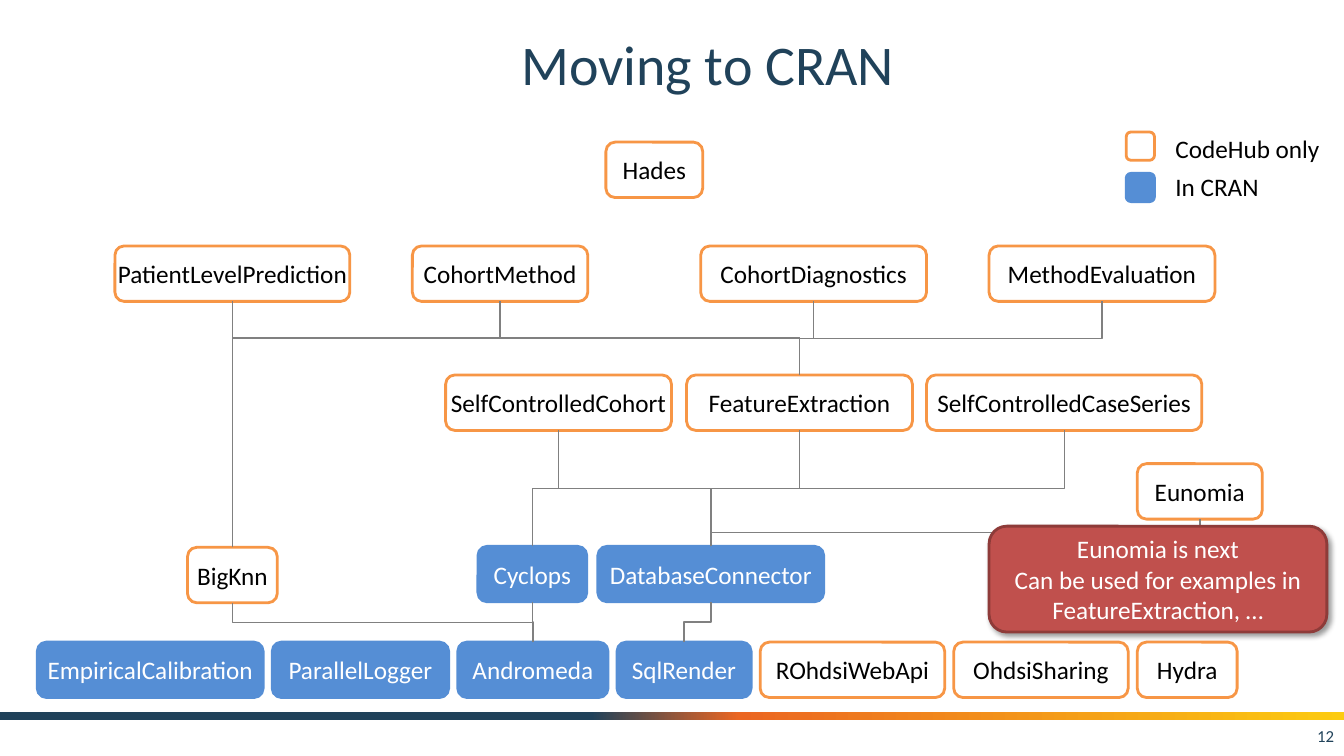
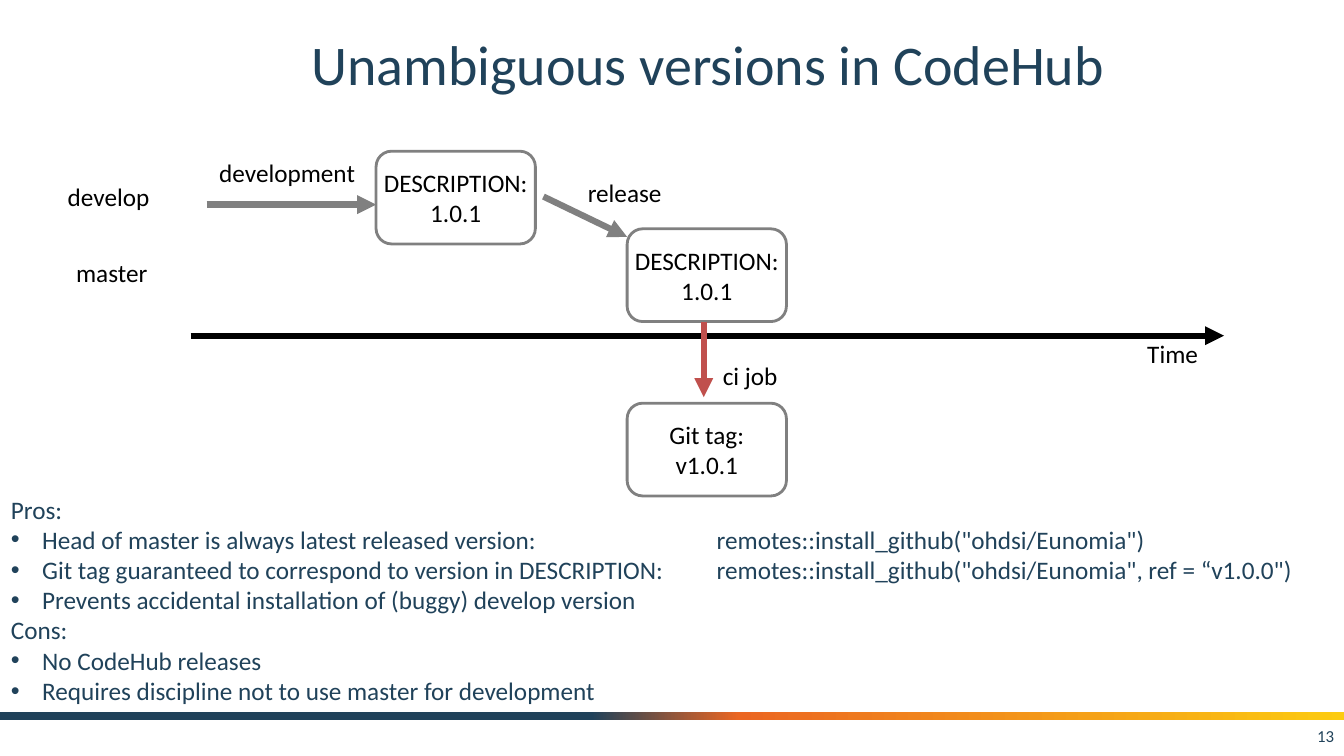
from dataclasses import dataclass
from typing import Any

from lxml.etree import SubElement as sub
from pptx import Presentation
from pptx.dml.color import RGBColor as Rgb
from pptx.enum.shapes import MSO_CONNECTOR as Wire, MSO_SHAPE as Form
from pptx.enum.text import MSO_ANCHOR as Anchor, PP_ALIGN as Align
from pptx.oxml.ns import qn
from pptx.util import Inches, Pt

HUES = {
    "navy": "20425A", "ember": "EB6622", "gold": "FCCB10", "blue": "558ED5",
    "orange": "F79646", "red": "C0504D", "wine": "8E3B39", "gray": "808080",
    "black": "000000", "white": "FFFFFF",
}
FACE = "Calibri"
WIDE, HIGH = 13.33, 7.5
BAND = ((44, "navy"), (55, "ember"), (100, "gold"))


@dataclass
class Look:
    """Colours of a rounded box."""
    fill: str
    edge: str
    ink: str


@dataclass
class Box:
    """A rounded box with centred text."""
    text: str
    x: float
    y: float
    w: float
    h: float
    look: Look


@dataclass
class Label:
    """A single line of free text."""
    text: str
    x: float
    y: float
    w: float
    side: Any = Align.LEFT


@dataclass
class Arrow:
    """A straight arrow between two points."""
    x1: float
    y1: float
    x2: float
    y2: float
    hue: str


HUB = Look("white", "orange", "black")
CRAN = Look("blue", "blue", "white")
STEP = Look("white", "gray", "black")
ALERT = Look("red", "wine", "white")


def color(name: str) -> Rgb:
    """Look up a named colour."""
    return Rgb.from_string(HUES[name])


def write(frame: Any, text: str, hue: str, size: float = 18,
          side: Any = Align.LEFT) -> None:
    """Fill a text frame, one paragraph for each line."""
    for i, line in enumerate(text.split("\n")):
        para = frame.add_paragraph() if i else frame.paragraphs[0]
        para.text = line
        para.alignment = side
        font = para.font
        font.name, font.size = FACE, Pt(size)
        font.color.rgb = color(hue)


def add_text(slide: Any, label: Label, h: float = 0.4, hue: str = "black",
             size: float = 18, wrap: bool = False,
             anchor: Any = Anchor.TOP) -> Any:
    """Add a text box and return its frame."""
    frame = slide.shapes.add_textbox(
        Inches(label.x), Inches(label.y), Inches(label.w), Inches(h)).text_frame
    frame.word_wrap = wrap
    frame.vertical_anchor = anchor
    write(frame, label.text, hue, size, label.side)
    return frame


def add_box(slide: Any, box: Box, inset: bool = False) -> Any:
    """Add a rounded box; with inset it keeps margins and wraps."""
    shape = slide.shapes.add_shape(
        Form.ROUNDED_RECTANGLE, Inches(box.x), Inches(box.y),
        Inches(box.w), Inches(box.h))
    shape.shadow.inherit = False
    shape.fill.solid()
    shape.fill.fore_color.rgb = color(box.look.fill)
    shape.line.color.rgb = color(box.look.edge)
    shape.line.width = Pt(2)
    frame = shape.text_frame
    frame.word_wrap = inset
    frame.vertical_anchor = Anchor.MIDDLE
    if not inset:
        frame.margin_left = frame.margin_right = 0
        frame.margin_top = frame.margin_bottom = 0
    if box.text:
        write(frame, box.text, box.look.ink, side=Align.CENTER)
    return shape


def style(line: Any, hue: str, width: float, head: bool = False) -> None:
    """Set a connector's colour, width and arrowhead, without shadow."""
    line.line.color.rgb = color(hue)
    line.line.width = Pt(width)
    props = line._element.spPr
    if head:
        sub(props.find(qn("a:ln")), qn("a:tailEnd"), type="triangle")
    sub(props, qn("a:effectLst"))


def add_arrow(slide: Any, arrow: Arrow) -> None:
    """Draw a thick straight arrow."""
    line = slide.shapes.add_connector(
        Wire.STRAIGHT, Inches(arrow.x1), Inches(arrow.y1),
        Inches(arrow.x2), Inches(arrow.y2))
    style(line, arrow.hue, 4.5, head=True)


def link(slide: Any, low: Any, high: Any) -> None:
    """Join the top of one box to the bottom of a higher one by an elbow."""
    line = slide.shapes.add_connector(Wire.ELBOW, 0, 0, 0, 0)
    line.begin_connect(low, 0)
    line.end_connect(high, 2)
    left = line.end_x < line.begin_x
    mid_x = (line.begin_x + line.end_x) // 2
    mid_y = (line.begin_y + line.end_y) // 2
    run, rise = line.width, line.height
    line.left, line.top = mid_x - rise // 2, mid_y - run // 2
    line.width, line.height = rise, run
    frame = line._element.spPr.find(qn("a:xfrm"))
    frame.set("rot", "16200000")
    frame.set("flipH", "0")
    frame.set("flipV", "1" if left else "0")
    style(line, "gray", 1)


def add_glow(shape: Any) -> None:
    """Give a shape a soft shadow to the lower right."""
    effects = shape._element.spPr.find(qn("a:effectLst"))
    outer = sub(effects, qn("a:outerShdw"), blurRad=str(Pt(4)),
                dist=str(Pt(3)), dir="2700000", algn="tl", rotWithShape="0")
    tone = sub(outer, qn("a:srgbClr"), val=HUES["black"])
    sub(tone, qn("a:alpha"), val="40000")


def add_band(slide: Any) -> None:
    """Draw the gradient band above the footer."""
    band = slide.shapes.add_shape(
        Form.RECTANGLE, 0, Inches(7.06), Inches(WIDE), Inches(0.08))
    band.shadow.inherit = False
    band.line.fill.background()
    band.fill.gradient()
    band.fill.gradient_angle = 0
    stops = band._element.spPr.find(qn("a:gradFill")).find(qn("a:gsLst"))
    for stop in list(stops):
        stops.remove(stop)
    for pos, hue in BAND:
        stop = sub(stops, qn("a:gs"), pos=str(pos * 1000))
        sub(stop, qn("a:srgbClr"), val=HUES[hue])


def add_slide(deck: Any, title: str, page: int) -> Any:
    """Add a slide with band, title and page number."""
    slide = deck.slides.add_slide(deck.slide_layouts[6])
    add_band(slide)
    add_text(slide, Label(title, 1.37, 0.17, 11.3, Align.CENTER), 0.92,
             "navy", 40, True, Anchor.MIDDLE)
    add_text(slide, Label(str(page), 10.22, 7.1, 3.11, Align.RIGHT), 0.4,
             "navy", 12, True, Anchor.MIDDLE)
    return slide


def add_bullet(para: Any) -> None:
    """Give a paragraph a bullet, a hanging indent and a tab for code."""
    props = para._p.get_or_add_pPr()
    props.set("marL", str(Inches(0.31)))
    props.set("indent", str(-Inches(0.31)))
    font = sub(props, qn("a:buFont"), typeface="Arial")
    mark = sub(props, qn("a:buChar"), char="•")
    tabs = sub(props, qn("a:tabLst"))
    sub(tabs, qn("a:tab"), pos=str(Inches(7)), algn="l")
    for i, part in enumerate((font, mark, tabs)):
        props.insert(i, part)


TALL = 0.55
NODES = [
    Box("Hades", 6.01, 1.41, 0.96, TALL, HUB),
    Box("PatientLevelPrediction", 1.14, 2.44, 2.33, TALL, HUB),
    Box("CohortMethod", 4.09, 2.44, 1.74, TALL, HUB),
    Box("CohortDiagnostics", 6.95, 2.44, 2.24, TALL, HUB),
    Box("MethodEvaluation", 9.81, 2.44, 2.24, TALL, HUB),
    Box("SelfControlledCohort", 4.42, 3.72, 2.24, TALL, HUB),
    Box("FeatureExtraction", 6.81, 3.72, 2.24, TALL, HUB),
    Box("SelfControlledCaseSeries", 9.19, 3.72, 2.73, TALL, HUB),
    Box("Eunomia", 11.28, 4.6, 1.24, TALL, HUB),
    Box("BigKnn", 1.86, 5.43, 0.89, TALL, HUB),
    Box("Cyclops", 4.74, 5.42, 1.08, TALL, CRAN),
    Box("DatabaseConnector", 5.93, 5.42, 2.24, TALL, CRAN),
]
BASE = (
    ("EmpiricalCalibration", 2.24, CRAN), ("ParallelLogger", 1.75, CRAN),
    ("Andromeda", 1.49, CRAN), ("SqlRender", 1.33, CRAN),
    ("ROhdsiWebApi", 1.83, HUB), ("OhdsiSharing", 1.73, HUB),
    ("Hydra", 0.99, HUB),
)
LINKS = {
    "Andromeda": ("Cyclops", "BigKnn"),
    "SqlRender": ("DatabaseConnector",),
    "DatabaseConnector": ("Eunomia", "SelfControlledCohort",
                          "FeatureExtraction", "SelfControlledCaseSeries"),
    "FeatureExtraction": ("PatientLevelPrediction", "CohortMethod",
                          "CohortDiagnostics", "MethodEvaluation"),
    "Cyclops": ("SelfControlledCohort",),
    "BigKnn": ("PatientLevelPrediction",),
}
KEYS = (
    (Box("", 11.17, 1.31, 0.28, 0.28, HUB),
     Label("CodeHub only", 11.56, 1.27, 1.7)),
    (Box("", 11.17, 1.72, 0.28, 0.28, CRAN),
     Label("In CRAN", 11.56, 1.65, 1.7)),
)
NOTE = Box("Eunomia is next\nCan be used for examples in FeatureExtraction, …",
           9.81, 5.22, 3.35, 1.05, ALERT)

STEPS = (
    Box("DESCRIPTION:\n1.0.1", 3.73, 1.5, 1.58, 0.92, STEP),
    Box("DESCRIPTION:\n1.0.1", 6.22, 2.27, 1.58, 0.92, STEP),
    Box("Git tag:\nv1.0.1", 6.22, 4, 1.58, 0.92, STEP),
)
ARROWS = (
    Arrow(1.89, 3.33, 12.14, 3.33, "black"),
    Arrow(2.05, 2.03, 3.73, 2.03, "gray"),
    Arrow(5.39, 1.95, 6.22, 2.35, "gray"),
    Arrow(6.98, 3.19, 6.98, 3.94, "red"),
)
LABELS = (
    Label("develop", 0.56, 1.75, 1.02, Align.RIGHT),
    Label("master", 0.64, 2.5, 0.92, Align.RIGHT),
    Label("development", 2.05, 1.51, 1.57, Align.RIGHT),
    Label("release", 5.72, 1.71, 0.94, Align.RIGHT),
    Label("ci job", 7.05, 3.53, 0.76, Align.RIGHT),
    Label("Time", 11.28, 3.31, 0.71),
)
POINTS = """Pros:
Head of master is always latest released version:\t\
remotes::install_github("ohdsi/Eunomia")
Git tag guaranteed to correspond to version in DESCRIPTION:\t\
remotes::install_github("ohdsi/Eunomia", ref = “v1.0.0")
Prevents accidental installation of (buggy) develop version
Cons:
No CodeHub releases
Requires discipline not to use master for development"""


def draw_tree(deck: Any) -> None:
    """Build the slide with the package tree."""
    slide = add_slide(deck, "Moving to CRAN", 12)
    nodes = list(NODES)
    x = 0.37
    for name, w, look in BASE:
        nodes.append(Box(name, x, 6.37, w, TALL, look))
        x += w + 0.09
    made = {node.text: add_box(slide, node) for node in nodes}
    for low, highs in LINKS.items():
        for high in highs:
            link(slide, made[low], made[high])
    for box, label in KEYS:
        add_box(slide, box)
        add_text(slide, label)
    add_glow(add_box(slide, NOTE, inset=True))


def draw_flow(deck: Any) -> None:
    """Build the slide with the release flow."""
    slide = add_slide(deck, "Unambiguous versions in CodeHub", 13)
    for box in STEPS:
        add_box(slide, box)
    for arrow in ARROWS:
        add_arrow(slide, arrow)
    for label in LABELS:
        add_text(slide, label)
    frame = add_text(slide, Label(POINTS, 0.01, 4.85, 13.32), 2.2, "navy",
                     wrap=True)
    for para in frame.paragraphs:
        if not para.text.endswith("s:"):
            add_bullet(para)


deck = Presentation()
deck.slide_width, deck.slide_height = Inches(WIDE), Inches(HIGH)
draw_tree(deck)
draw_flow(deck)
deck.save("out.pptx")
